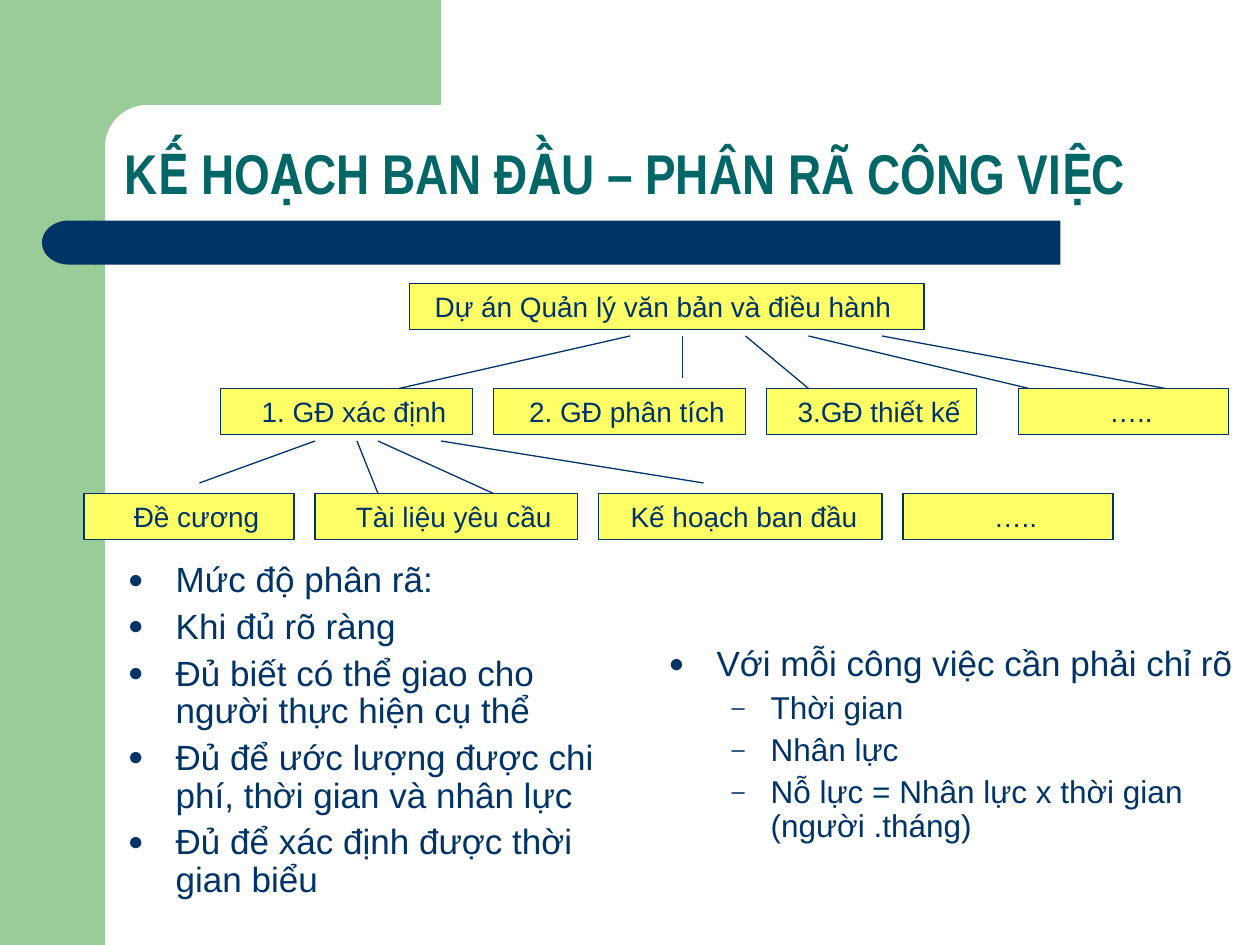
import math
from dataclasses import dataclass

from lxml import etree
from pptx import Presentation
from pptx import util as u
from pptx.dml.color import RGBColor
from pptx.enum import shapes, text
from pptx.oxml.ns import qn

COLUMNS, ROWS = 120, 90  # grid over the whole slide


@dataclass(frozen=True)
class Theme:
    leaf: RGBColor = RGBColor(0x99, 0xCC, 0x99)
    navy: RGBColor = RGBColor(0x00, 0x33, 0x66)
    teal: RGBColor = RGBColor(0x00, 0x66, 0x66)
    yellow: RGBColor = RGBColor(0xFF, 0xFF, 0x66)
    title_font: str = "Arial Narrow"
    body_font: str = "Arial"
    title_size: float = 32
    node_size: float = 16
    level_sizes: tuple = (20, 18)
    line_width: float = 0.75


THEME = Theme()
DECK = Presentation()
DECK.slide_width, DECK.slide_height = u.Inches(10), u.Inches(7.5)


def across(columns):
    return round(DECK.slide_width * columns / COLUMNS)


def down(rows):
    return round(DECK.slide_height * rows / ROWS)


def emu(box):
    left, top, width, height = box
    return across(left), down(top), across(width), down(height)


def paint(shape, colour):
    shape.shadow.inherit = False
    shape.fill.solid()
    shape.fill.fore_color.rgb = colour
    shape.line.fill.background()


def add_panel(page, kind, box, colour):
    panel = page.shapes.add_shape(kind, *emu(box))
    paint(panel, colour)
    return panel


def add_span(para, words, size, colour=THEME.navy, font=THEME.body_font, bold=False):
    span = para.add_run()
    span.text = words
    span.font.size, span.font.name, span.font.bold = u.Pt(size), font, bold
    span.font.color.rgb = colour


def add_frame(page, box):
    """Green side and top panels with a rounded inner corner."""
    left, top, width, height = box
    side, band, radius, reach = 10, 10, 4, 42
    add_panel(page, shapes.MSO_SHAPE.RECTANGLE, (left, top, side, height), THEME.leaf)
    angles = [math.radians(90 * step / 16) for step in range(17)]
    arc = [(side + radius - radius * math.sin(a), band + radius - radius * math.cos(a))
           for a in angles]
    outline = [(reach, 0), (reach, band), *arc, (side, 15.4), (6, 15.4), (6, 0)]
    points = [(across(left + x), down(top + y)) for x, y in outline]
    builder = page.shapes.build_freeform(*points[0])
    builder.add_line_segments(points[1:], close=True)
    paint(builder.convert_to_shape(), THEME.leaf)


def add_bar(page, box):
    """Navy rule under the title with a rounded left end."""
    left, top, width, height = box
    cap = 5.1
    add_panel(page, shapes.MSO_SHAPE.RECTANGLE,
              (left + 5, top, width - 5, height), THEME.navy)
    end = add_panel(page, shapes.MSO_SHAPE.FLOWCHART_DELAY,
                    (left, top, cap, height), THEME.navy)
    end.rotation = 180


def add_title(page, box, words):
    title = page.shapes.title
    title.left, title.top, title.width, title.height = emu(box)
    frame = title.text_frame
    frame.auto_size = text.MSO_AUTO_SIZE.NONE
    frame.vertical_anchor = text.MSO_ANCHOR.BOTTOM
    para = frame.paragraphs[0]
    para.alignment = text.PP_ALIGN.LEFT
    para.line_spacing = 0.9
    add_span(para, words, THEME.title_size, THEME.teal, THEME.title_font, True)


def add_node(page, box, words, indent):
    node = add_panel(page, shapes.MSO_SHAPE.RECTANGLE, box, THEME.yellow)
    node.line.color.rgb = THEME.navy
    node.line.width = u.Pt(THEME.line_width)
    node.text_frame.word_wrap = True
    para = node.text_frame.paragraphs[0]
    para.alignment = text.PP_ALIGN.CENTER
    side = "marL" if indent > 0 else "marR"
    para._p.get_or_add_pPr().set(side, str(u.Inches(abs(indent))))
    add_span(para, words, THEME.node_size)


def add_branch(page, start, end):
    branch = page.shapes.add_connector(
        shapes.MSO_CONNECTOR.STRAIGHT,
        across(start[0]), down(start[1]), across(end[0]), down(end[1]))
    branch.line.color.rgb = THEME.navy
    branch.line.width = u.Pt(THEME.line_width)
    etree.SubElement(branch._element.spPr, qn("a:effectLst"))


def add_tree(page, box):
    """Work breakdown: rows of nodes 10 grid rows apart, and their branches."""
    left, top, width, height = box
    pitch, node_height = 10, 4.4
    # Per row: first column, then (label, width, gap after, text indent)
    levels = [
        (31, [("Dự án Quản lý văn bản và điều hành", 49, 0, -0.06)]),
        (13, [("1. GĐ xác định", 24, 2, 0.12), ("2. GĐ phân tích", 24, 2, 0.12),
              ("3.GĐ thiết kế", 20, 4, 0.12), ("…..", 20, 0, 0.12)]),
        (0, [("Đề cương", 20, 2, 0.12), ("Tài liệu yêu cầu", 25, 2, 0.12),
             ("Kế hoạch ban đầu", 27, 2, 0.06), ("…..", 20, 0, 0.12)]),
    ]
    for level, (column, nodes) in enumerate(levels):
        for words, span, gap, indent in nodes:
            add_node(page, (left + column, top + level * pitch, span, node_height),
                     words, indent)
            column += span + gap
    # Per parent row: (start column, end column, drop in rows)
    branches = [
        [(52, 30, 5), (57, 57, 4), (63, 69, 5), (69, 90, 5), (76, 103, 5)],
        [(22, 11, 4), (26, 28, 5), (28, 39, 5), (34, 59, 4)],
    ]
    for level, lines in enumerate(branches):
        row = top + level * pitch + 5
        for start, end, drop in lines:
            add_branch(page, (left + start, row), (left + end, row + drop))


def add_bullet(para, level):
    margin, hanging, mark = ((0.38, 0.38, "●"), (0.81, 0.31, "–"))[level]
    para.level = level
    para.line_spacing = 0.9
    para.space_before = u.Pt(THEME.level_sizes[level] / 4)
    props = para._p.get_or_add_pPr()
    props.set("marL", str(u.Inches(margin)))
    props.set("indent", str(-u.Inches(hanging)))
    colour = etree.SubElement(props, qn("a:buClr"))
    etree.SubElement(colour, qn("a:srgbClr"), val=str(THEME.navy))
    etree.SubElement(props, qn("a:buSzPct"), val="75000")
    etree.SubElement(props, qn("a:buFont"), typeface=THEME.body_font)
    etree.SubElement(props, qn("a:buChar"), char=mark)


def add_list(page, box, items):
    frame = page.shapes.add_textbox(*emu(box)).text_frame
    frame.word_wrap = True
    for number, (level, words) in enumerate(items):
        para = frame.add_paragraph() if number else frame.paragraphs[0]
        add_bullet(para, level)
        add_span(para, words, THEME.level_sizes[level])


def main():
    page = DECK.slides.add_slide(DECK.slide_layouts[5])  # title only
    add_frame(page, (0, 0, COLUMNS, ROWS))
    add_bar(page, (4, 21, 97, 4.2))
    add_title(page, (10.7, 10.7, 102.6, 9.6), "KẾ HOẠCH BAN ĐẦU – PHÂN RÃ CÔNG VIỆC")
    # Lists below the tree
    add_list(page, (11, 53, 49.5, 34), [
        (0, "Mức độ phân rã:"),
        (0, "Khi đủ rõ ràng"),
        (0, "Đủ biết có thể giao cho người thực hiện cụ thể"),
        (0, "Đủ để ước lượng được chi phí, thời gian và nhân lực"),
        (0, "Đủ để xác định được thời gian biểu")])
    add_list(page, (62.5, 61, 57.5, 25), [
        (0, "Với mỗi công việc cần phải chỉ rõ"),
        (1, "Thời gian"),
        (1, "Nhân lực"),
        (1, "Nỗ lực = Nhân lực x thời gian (người .tháng)")])
    add_tree(page, (8, 27, 109, 24.4))
    DECK.save("out.pptx")


if __name__ == "__main__":
    main()
